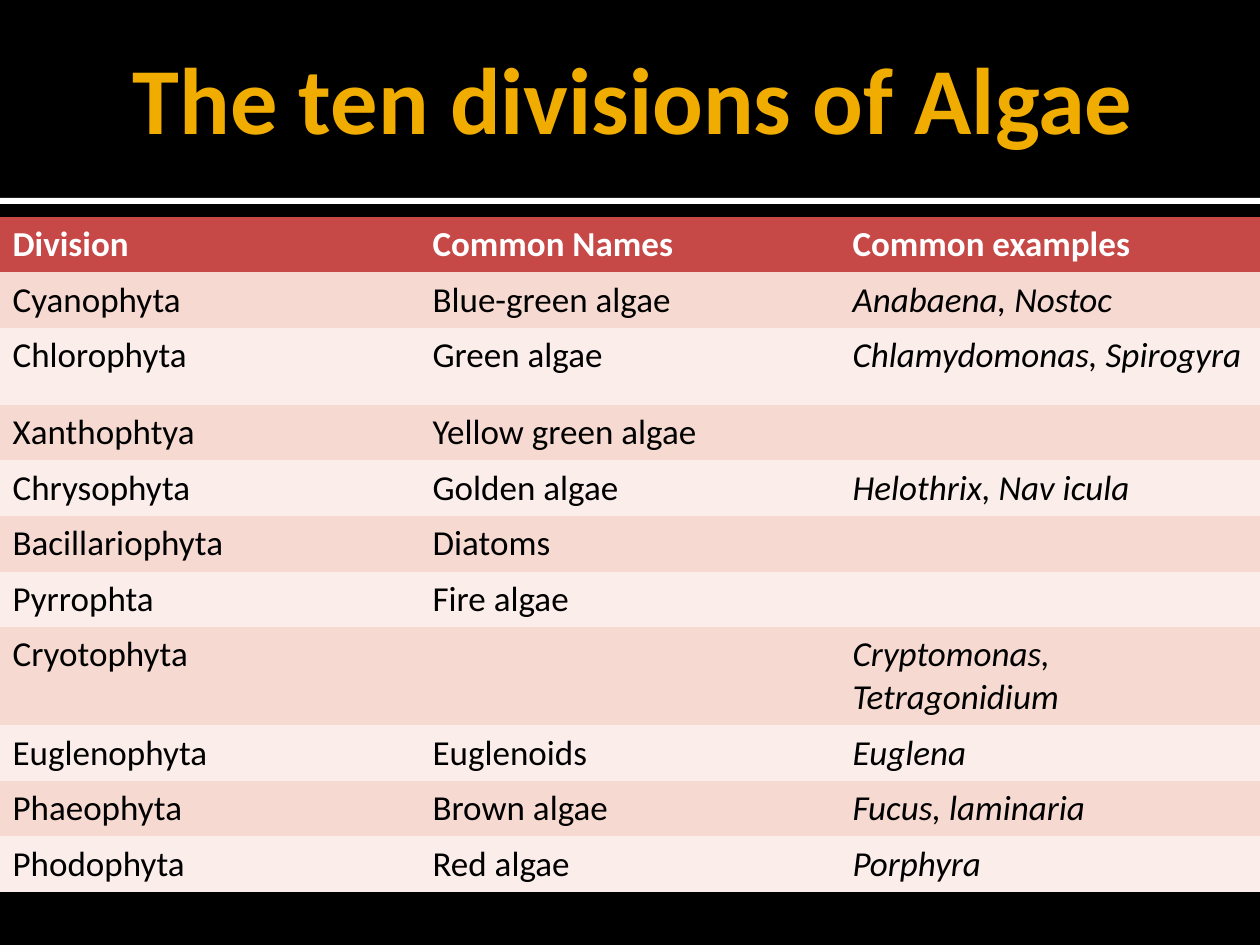
from dataclasses import dataclass

from pptx import Presentation
from pptx import util as u
from pptx.dml.color import RGBColor
from pptx.enum import shapes, text
from pptx.oxml.ns import qn

SCALE = 914400 / 126  # EMU per px


@dataclass(frozen=True)
class Theme:
    font: str = "Calibri"
    title_size: int = 54
    table_size: int = 20
    background: str = "000000"
    title: str = "F0AD00"
    rule: str = "FFFFFF"
    header_fill: str = "C64847"
    header_text: str = "FFFFFF"
    body_text: str = "000000"
    bands: tuple = ("F6D9D0", "FBEDE9")


theme = Theme()


def px(length):
    return u.Emu(round(length * SCALE))


def style(font, size, color, bold=False, italic=False):
    font.name = theme.font
    font.size = u.Pt(size)
    font.color.rgb = RGBColor.from_string(color)
    font.bold = bold
    font.italic = italic


# Deck and page
deck = Presentation()
deck.slide_width, deck.slide_height = px(1260), px(945)
page = deck.slides.add_slide(deck.slide_layouts[5])
page.background.fill.solid()
page.background.fill.fore_color.rgb = RGBColor.from_string(theme.background)

# White rule under the title
rule = page.shapes.add_shape(
    shapes.MSO_SHAPE.RECTANGLE, px(0), px(198), px(1260), px(6))
rule.shadow.inherit = False
rule.fill.solid()
rule.fill.fore_color.rgb = RGBColor.from_string(theme.rule)
rule.line.fill.background()

# Title
title = page.shapes.title
title.left, title.top, title.width, title.height = px(0), px(0), px(1260), px(194)
frame = title.text_frame
frame.text = "The ten divisions of Algae"
frame.word_wrap = True
frame.auto_size = text.MSO_AUTO_SIZE.NONE
frame.vertical_anchor = text.MSO_ANCHOR.MIDDLE
frame.margin_left = u.Inches(0.1)
frame.margin_right = frame.margin_top = frame.margin_bottom = u.Inches(0.05)
para = frame.paragraphs[0]
para.alignment = text.PP_ALIGN.CENTER
style(para.runs[0].font, theme.title_size, theme.title, bold=True)

# Table of divisions
rows = [
    ("Division", "Common Names", "Common examples"),
    ("Cyanophyta", "Blue-green algae", "Anabaena, Nostoc"),
    ("Chlorophyta", "Green algae", "Chlamydomonas, Spirogyra"),
    ("Xanthophtya", "Yellow green algae", ""),
    ("Chrysophyta", "Golden algae", "Helothrix, Nav icula"),
    ("Bacillariophyta", "Diatoms", ""),
    ("Pyrrophta", "Fire algae", ""),
    ("Cryotophyta", "", "Cryptomonas, Tetragonidium"),
    ("Euglenophyta", "Euglenoids", "Euglena"),
    ("Phaeophyta", "Brown algae", "Fucus, laminaria"),
    ("Phodophyta", "Red algae", "Porphyra"),
]
tall_rows = {"Chlorophyta", "Cryotophyta"}
heights = [77 if row[0] in tall_rows else 53 for row in rows]

table = page.shapes.add_table(
    len(rows), 3, px(0), px(217), px(1260), px(sum(heights))).table
table.horz_banding = False
# The "No Style, No Grid" table style has no cell borders
style_id = table._tbl.tblPr.find(qn("a:tableStyleId"))
style_id.text = "{2D5ABB26-0587-4C30-8999-92F81FD0307C}"

for column in table.columns:
    column.width = px(420)

for r, (row, height) in enumerate(zip(rows, heights)):
    table.rows[r].height = px(height)
    header = r == 0
    fill = theme.header_fill if header else theme.bands[(r - 1) % 2]
    color = theme.header_text if header else theme.body_text
    for c, label in enumerate(row):
        cell = table.cell(r, c)
        cell.fill.solid()
        cell.fill.fore_color.rgb = RGBColor.from_string(fill)
        cell.text_frame.text = label
        for span in cell.text_frame.paragraphs[0].runs:
            style(span.font, theme.table_size, color,
                  bold=header, italic=c == 2 and not header)

deck.save("out.pptx")
